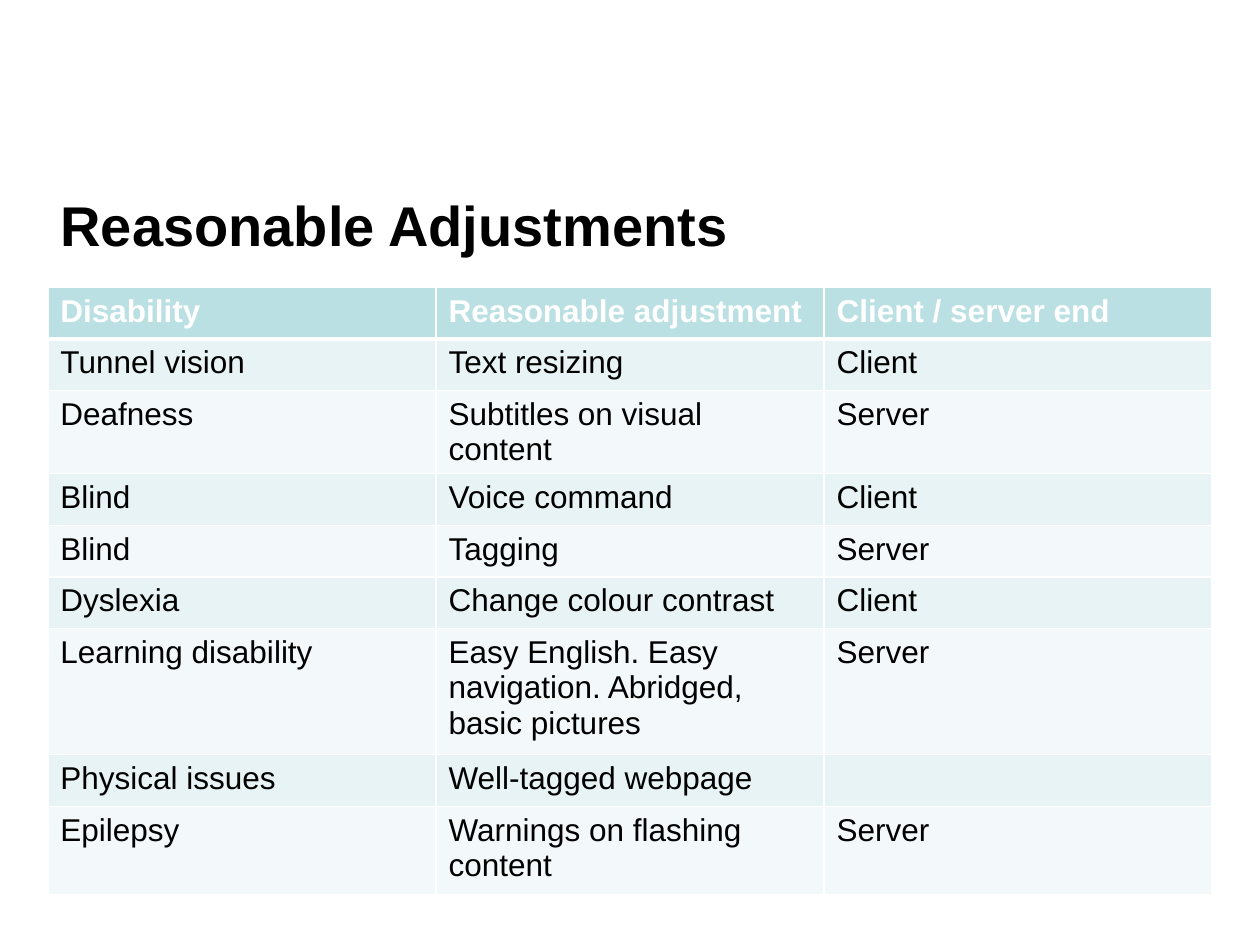
from lxml import etree
from pptx import Presentation
from pptx.dml.color import RGBColor
from pptx.enum.text import MSO_ANCHOR, PP_ALIGN
from pptx.oxml.ns import qn
from pptx.util import Inches, Pt

LEFT = PP_ALIGN.LEFT
MIDDLE = MSO_ANCHOR.MIDDLE

TITLE = "Reasonable Adjustments"
HEADINGS = ("Disability", "Reasonable adjustment", "Client / server end")
ADJUSTMENTS = [
    ("Tunnel vision", "Text resizing", "Client"),
    ("Deafness", "Subtitles on visual content", "Server"),
    ("Blind", "Voice command", "Client"),
    ("Blind", "Tagging", "Server"),
    ("Dyslexia", "Change colour contrast", "Client"),
    ("Learning disability", "Easy English. Easy navigation. Abridged, basic pictures", "Server"),
    ("Physical issues", "Well-tagged webpage", ""),
    ("Epilepsy", "Warnings on flashing content", "Server"),
]
TALL_ROWS = {"Learning disability": 1, "Epilepsy": 0.7}
ROW_HEIGHT = 0.41
HEADER_FILL = "BBE0E3"
BAND_FILLS = ("E7F3F4", "F3F9FA")
WHITE, BLACK = "FFFFFF", "000000"

SLIDE_WIDTH, SLIDE_HEIGHT = Inches(10), Inches(7.5)
MARGIN = Inches(0.38)
CONTENT_WIDTH = SLIDE_WIDTH - 2 * MARGIN


def style_paragraph(paragraph, size, color, bold):
    paragraph.alignment = LEFT
    font = paragraph.font
    font.name = "Arial"
    font.size = Pt(size)
    font.bold = bold
    font.color.rgb = RGBColor.from_string(color)


def add_borders(cell, widths):
    properties = cell._tc.get_or_add_tcPr()
    for side, width in widths.items():
        line = etree.SubElement(properties, qn(f"a:ln{side}"), w=str(Pt(width)))
        solid = etree.SubElement(line, qn("a:solidFill"))
        etree.SubElement(solid, qn("a:srgbClr"), val=WHITE)


def add_title(slide):
    title = slide.shapes.title
    title.left, title.top = MARGIN, Inches(1.4)
    title.width, title.height = CONTENT_WIDTH, Inches(0.76)
    title.text_frame.text = TITLE
    title.text_frame.vertical_anchor = MIDDLE
    style_paragraph(title.text_frame.paragraphs[0], 32, BLACK, True)


def add_adjustments(slide):
    rows = [HEADINGS, *ADJUSTMENTS]
    heights = [Inches(TALL_ROWS.get(row[0], ROW_HEIGHT)) for row in rows]
    table = slide.shapes.add_table(
        len(rows), len(HEADINGS), MARGIN, Inches(2.28), CONTENT_WIDTH, sum(heights)
    ).table
    for index, (row, height) in enumerate(zip(rows, heights)):
        header = index == 0
        fill = HEADER_FILL if header else BAND_FILLS[(index - 1) % 2]
        borders = {"L": 1, "R": 1, "T": 3 if index == 1 else 1, "B": 3 if header else 1}
        table.rows[index].height = height
        for column, wording in enumerate(row):
            cell = table.cell(index, column)
            cell.text = wording
            style_paragraph(cell.text_frame.paragraphs[0], 18, WHITE if header else BLACK, header)
            add_borders(cell, borders)
            cell.fill.solid()
            cell.fill.fore_color.rgb = RGBColor.from_string(fill)


def main():
    presentation = Presentation()
    presentation.slide_width, presentation.slide_height = SLIDE_WIDTH, SLIDE_HEIGHT
    slide = presentation.slides.add_slide(presentation.slide_layouts[5])
    add_title(slide)
    add_adjustments(slide)
    presentation.save("out.pptx")


if __name__ == "__main__":
    main()
